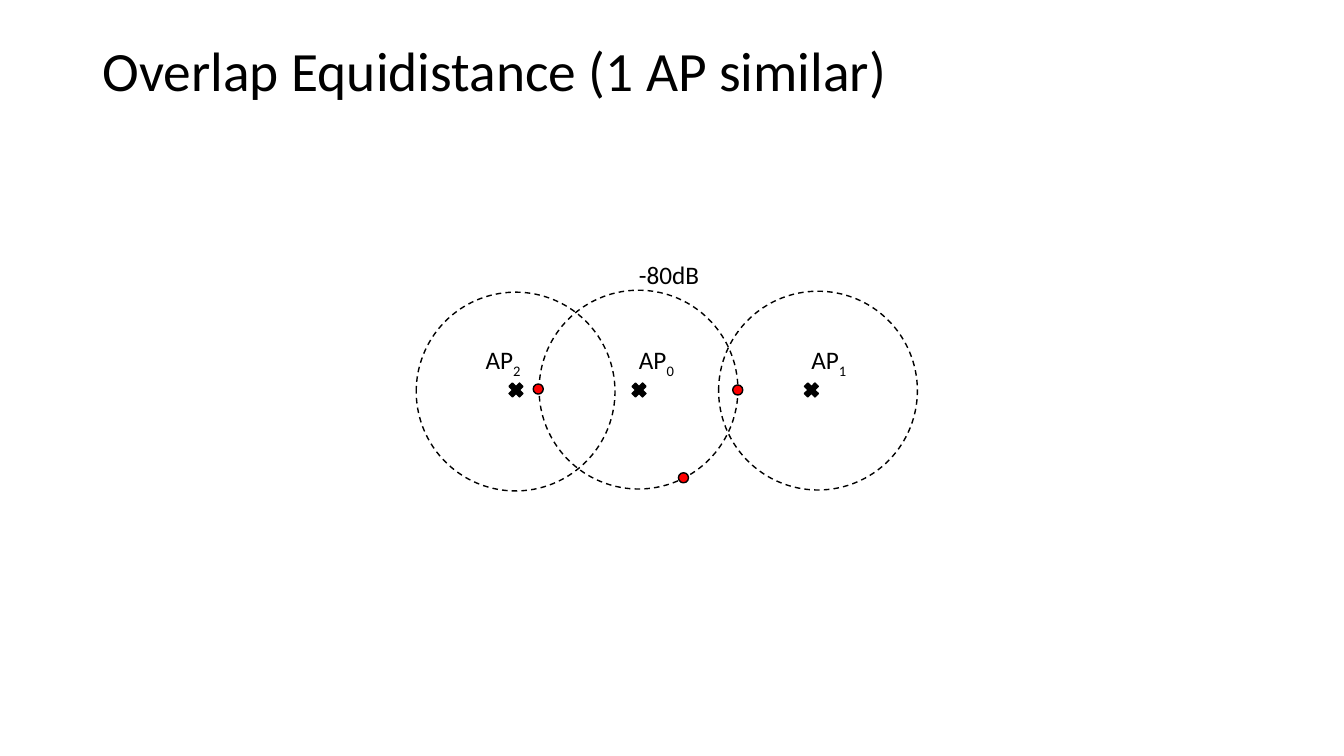
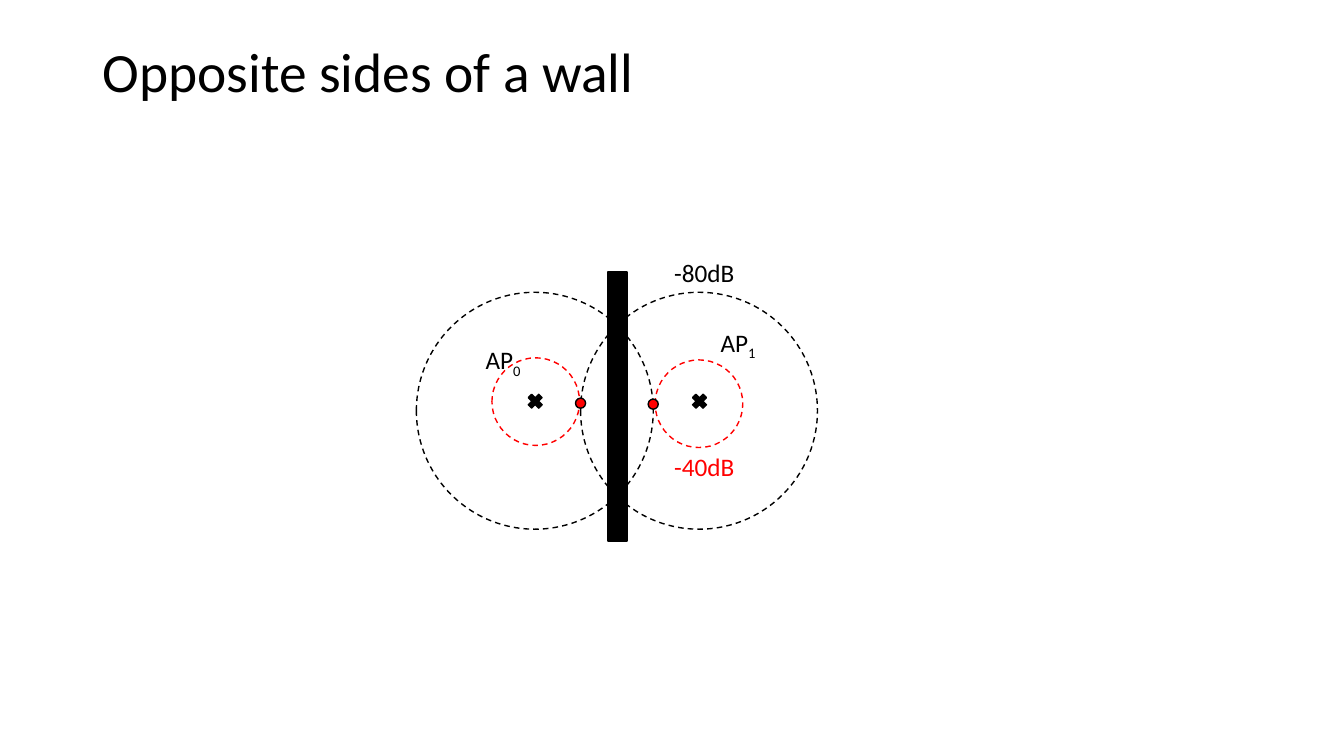
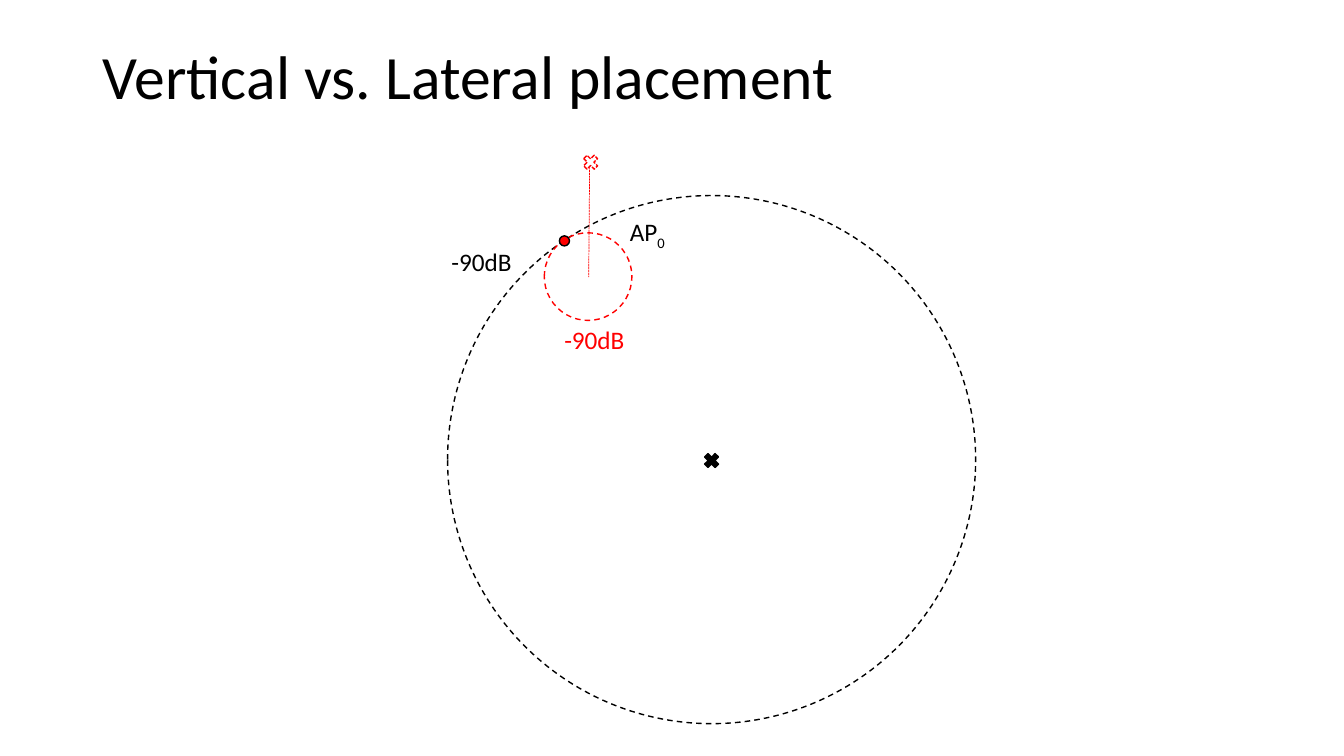
from lxml import etree
from pptx import Presentation
from pptx.dml.color import RGBColor
from pptx.enum import dml, shapes, text
from pptx.oxml import ns
from pptx.util import Pt

BLACK, RED, WHITE = "000000", "FF0000", "FFFFFF"
FONT = "Calibri"
DASH, SHORT_DASH = dml.MSO_LINE.DASH, dml.MSO_LINE.SQUARE_DOT
OVAL = shapes.MSO_SHAPE.OVAL
CROSS = shapes.MSO_SHAPE.MATH_MULTIPLY
WALL = shapes.MSO_SHAPE.RECTANGLE
CROSS_SIZE, DOT_SIZE = 14.4, 7.2
COVERAGE, WALL_COVERAGE, WIDE_COVERAGE, NEAR_COVERAGE = 142, 169.2, 377.2, 62.6


def add_mark(slide, kind, center, size, fill=None, line=BLACK, dash=None):
    """Add an outlined shape around a centre; size is (width, height)."""
    (x, y), (width, height) = center, size
    shape = slide.shapes.add_shape(
        kind, Pt(x - width / 2), Pt(y - height / 2), Pt(width), Pt(height))
    shape.shadow.inherit = False
    if fill:
        shape.fill.solid()
        shape.fill.fore_color.rgb = RGBColor.from_string(fill)
    else:
        shape.fill.background()
    shape.line.color.rgb = RGBColor.from_string(line)
    shape.line.width = Pt(1)
    if dash:
        shape.line.dash_style = dash


def add_label(slide, left, top, wording, subscript="", color=BLACK):
    """Add an 18-point label with an optional subscript."""
    box = slide.shapes.add_textbox(
        Pt(left), Pt(top), Pt(44.6 if subscript else 64), Pt(28.8))
    box.text_frame.word_wrap = True
    paragraph = box.text_frame.paragraphs[0]
    paragraph.font.name = FONT
    paragraph.font.size = Pt(18)
    paragraph.font.color.rgb = RGBColor.from_string(color)
    paragraph.add_run().text = wording
    if subscript:
        run = paragraph.add_run()
        run.text = subscript
        run._r.get_or_add_rPr().set("baseline", "-25000")


# Circles: centre, diameter, colour. Crosses and dots: centre.
# Labels: left, top, wording, then subscript and colour where needed.
scenes = [
    {
        "title": ("Overlap Equidistance (1 AP similar)", 39.6, 47.5),
        "circles": [((456.1, 278.3), COVERAGE, BLACK),
                    ((584.3, 279), COVERAGE, BLACK),
                    ((368.3, 279.7), COVERAGE, BLACK)],
        "crosses": [(456.5, 278.6), (579.6, 278.6), (368.6, 278.6)],
        "dots": [(384.5, 277.9), (527, 278.6), (488.2, 341.3)],
        "labels": [(449.3, 181.4, "-80dB"), (449.3, 242.6, "AP", "0"),
                   (572.4, 242.6, "AP", "1"), (339.8, 242.6, "AP", "2")],
    },
    {
        "title": ("Opposite sides of a wall", 39.6, 49),
        "circles": [((382, 293.4), WALL_COVERAGE, BLACK),
                    ((499.3, 293.4), WALL_COVERAGE, BLACK),
                    ((499.3, 288.4), NEAR_COVERAGE, RED),
                    ((382.7, 286.9), NEAR_COVERAGE, RED)],
        "crosses": [(499.7, 286.6), (382.3, 286.6)],
        "dots": [(414.7, 288), (466.6, 288.7)],
        "labels": [(474.5, 180, "-80dB"), (507.6, 230.4, "AP", "1"),
                   (339.8, 242.6, "AP", "0"),
                   (474.5, 319, "-40dB", "", RED)],
    },
    {
        "title": ("Vertical vs. Lateral placement", 44, 55.4),
        "circles": [((508.3, 328.3), WIDE_COVERAGE, BLACK),
                    ((420.1, 197.6), NEAR_COVERAGE, RED)],
        "crosses": [(508.3, 329)],
        "dots": [(403.2, 172.1)],
        "labels": [(315.4, 172.1, "-90dB"), (442.8, 151.2, "AP", "0"),
                   (396, 228.2, "-90dB", "", RED)],
    },
]

presentation = Presentation()
presentation.slide_width, presentation.slide_height = Pt(960), Pt(540)
title_only = presentation.slide_layouts[5]

slides = []
for scene in scenes:
    slide = presentation.slides.add_slide(title_only)
    slides.append(slide)
    wording, size, height = scene["title"]
    title = slide.shapes.title
    title.left, title.top = Pt(66.2), Pt(28.8)
    title.width, title.height = Pt(829), Pt(height)
    title.text_frame.text = wording
    title.text_frame.auto_size = text.MSO_AUTO_SIZE.NONE
    title.text_frame.vertical_anchor = text.MSO_ANCHOR.MIDDLE
    paragraph = title.text_frame.paragraphs[0]
    paragraph.alignment = text.PP_ALIGN.LEFT
    paragraph.line_spacing = 0.9
    paragraph.font.name = FONT
    paragraph.font.size = Pt(size)
    paragraph.font.color.rgb = RGBColor.from_string(BLACK)

    for center, diameter, color in scene["circles"]:
        add_mark(slide, OVAL, center, (diameter, diameter), line=color, dash=DASH)
    for center in scene["crosses"]:
        add_mark(slide, CROSS, center, (CROSS_SIZE, CROSS_SIZE), BLACK)
    for center in scene["dots"]:
        add_mark(slide, OVAL, center, (DOT_SIZE, DOT_SIZE), RED)
    for label in scene["labels"]:
        add_label(slide, *label)

overlap_slide, wall_slide, vertical_slide = slides

add_mark(wall_slide, WALL, (441, 290.5), (13.7, 192.2), BLACK)

drop_line = vertical_slide.shapes.add_connector(
    shapes.MSO_CONNECTOR.STRAIGHT, Pt(421.2), Pt(115.2), Pt(420.5), Pt(198))
drop_line.line.color.rgb = RGBColor.from_string(RED)
drop_line.line.width = Pt(0.5)
drop_line.line.dash_style = SHORT_DASH
etree.SubElement(drop_line._element.spPr, ns.qn("a:effectLst"))
add_mark(vertical_slide, CROSS, (421.9, 115.9), (CROSS_SIZE, CROSS_SIZE),
         WHITE, RED, SHORT_DASH)

presentation.save("out.pptx")
